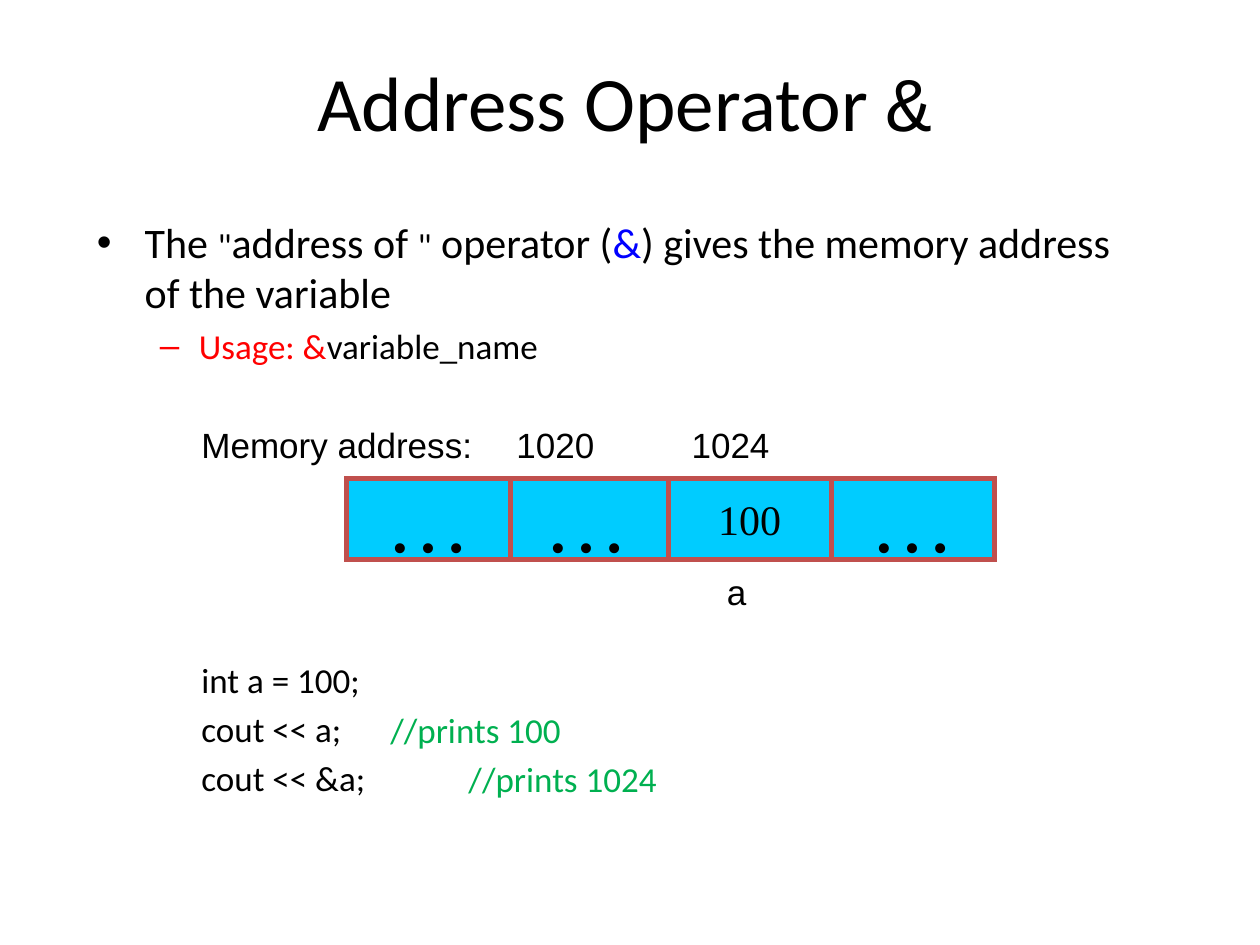
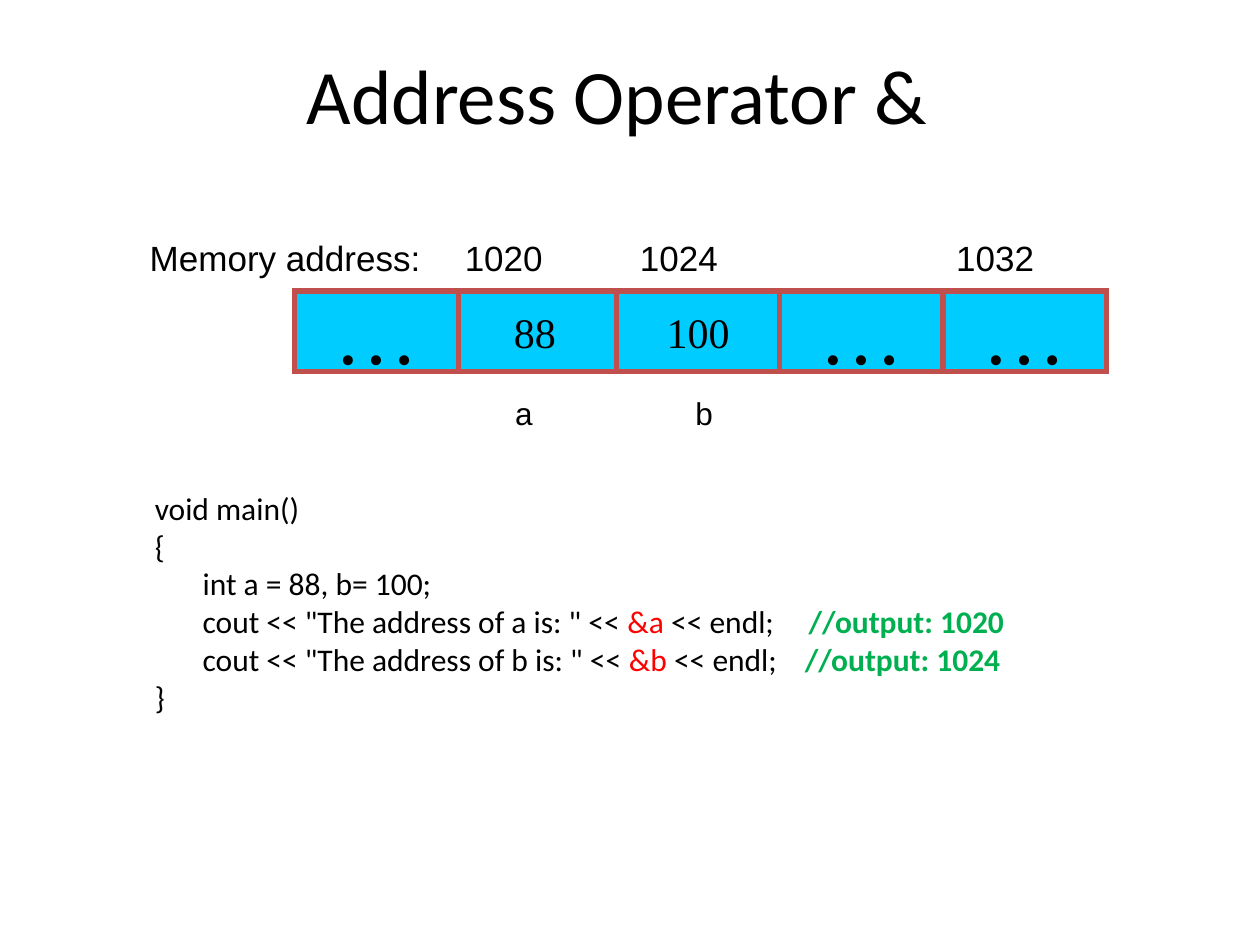
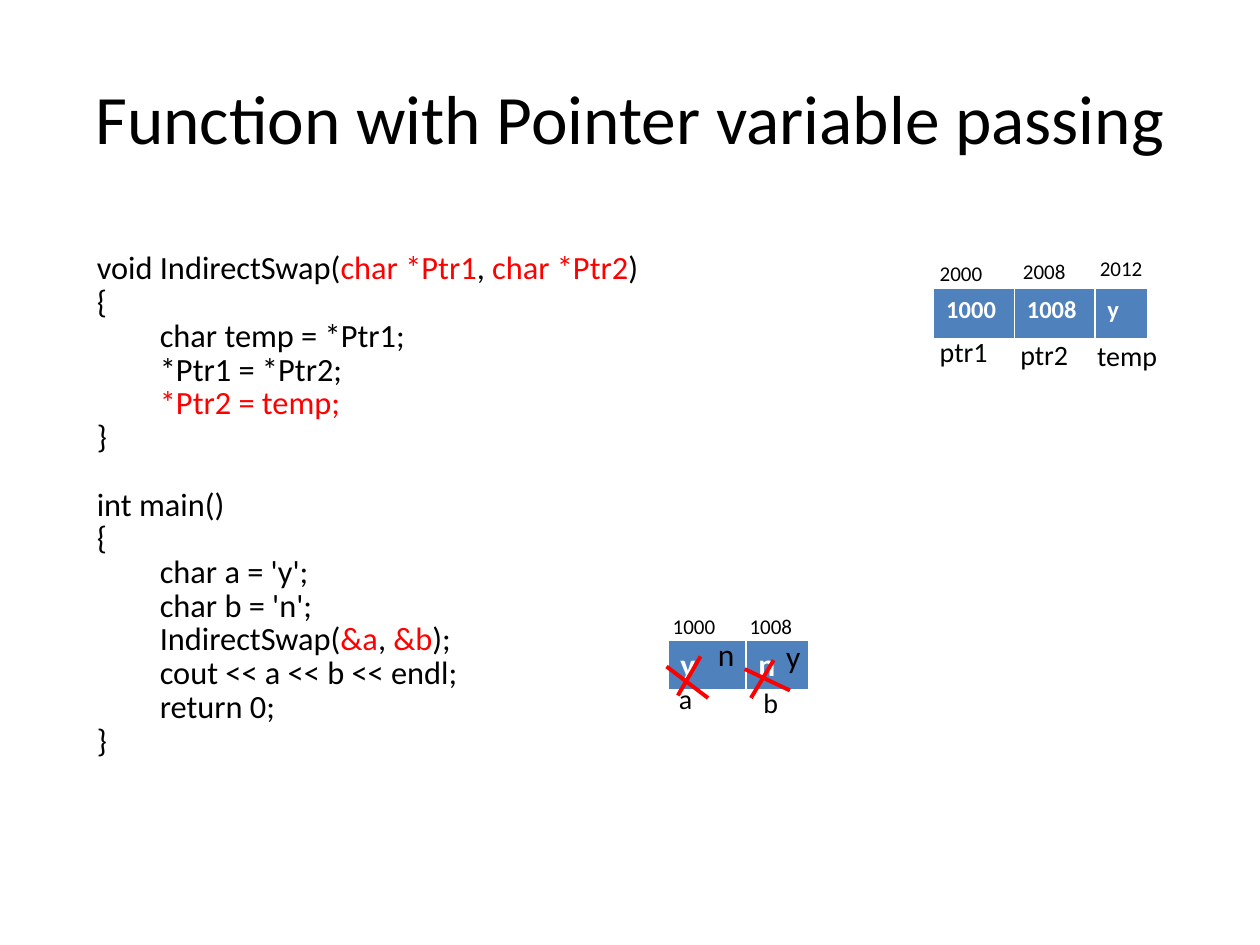
from lxml.etree import SubElement
from pptx import Presentation
from pptx.dml.color import RGBColor
from pptx.enum.shapes import MSO_CONNECTOR, MSO_SHAPE
from pptx.enum.text import MSO_ANCHOR, PP_ALIGN
from pptx.oxml.ns import qn
from pptx.util import Inches, Pt

BLACK = RGBColor(0x00, 0x00, 0x00)
WHITE = RGBColor(0xFF, 0xFF, 0xFF)
RED = RGBColor(0xFF, 0x00, 0x00)
BLUE = RGBColor(0x00, 0x00, 0xFF)
GREEN = RGBColor(0x00, 0xB0, 0x50)
CELL_FILL = RGBColor(0x00, 0xCC, 0xFF)
CELL_LINE = RGBColor(0xC0, 0x50, 0x4D)
TABLE_FILL = RGBColor(0x4F, 0x81, 0xBD)

deck = Presentation()
deck.slide_width = Inches(10)
deck.slide_height = Inches(7.5)
COLUMN = deck.slide_width / 10
ROW = deck.slide_height / 7.5


def place(page, left, top, width, height, wrap=True):
    box = page.shapes.add_textbox(
        int(left * COLUMN), int(top * ROW), int(width * COLUMN), int(height * ROW)
    )
    box.text_frame.word_wrap = wrap
    return box.text_frame


def write(frame, *spans, size=18, font="Calibri", color=BLACK, bold=False,
          align=PP_ALIGN.LEFT, before=0, spacing=None, margin=0, hang=0,
          bullet=None):
    para = frame.add_paragraph() if frame.text else frame.paragraphs[0]
    para.alignment = align
    para.space_before = Pt(before)
    if spacing:
        para.line_spacing = spacing
    settings = para._p.get_or_add_pPr()
    settings.set("marL", str(int(margin * COLUMN)))
    settings.set("indent", str(int(-hang * COLUMN)))
    if bullet:
        SubElement(settings, qn("a:buFont"), typeface="Arial")
        SubElement(settings, qn("a:buChar"), char=bullet)
    for item in spans:
        text, look = (item, {}) if isinstance(item, str) else item
        span = para.add_run()
        span.text = text
        span.font.name = look.get("font", font)
        span.font.size = Pt(look.get("size", size))
        span.font.bold = bold
        span.font.color.rgb = look.get("color", color)


titles = [
    (["Address Operator ", ("&", {"font": "Courier New"})], 0.46, 0.17, 44),
    (["Address Operator &"], 0.4, 0.12, 44),
    (["Function with Pointer variable passing"], 0.5, 0.3, 39.6),
]
pages = []
for spans, left, top, size in titles:
    page = deck.slides.add_slide(deck.slide_layouts[6])
    frame = place(page, left, top, 9, 1.25)
    frame.vertical_anchor = MSO_ANCHOR.MIDDLE
    write(frame, *spans, size=size, align=PP_ALIGN.CENTER)
    pages.append(page)
operator_page, program_page, swap_page = pages

body = place(operator_page, 0.67, 1.67, 8.58, 4.5)
write(body, "The ", ('"', {"size": 20}), "address of ", ('"', {"size": 20}),
      " operator (", ("&", {"color": BLUE}),
      ") gives the memory address of the variable",
      size=24, before=4.8, margin=0.38, hang=0.38, bullet="•")
write(body, ("Usage: &", {"color": RED}), "variable_name",
      size=20, before=4, margin=0.81, hang=0.31, bullet="–")

CELL_WIDTH, CELL_HEIGHT, CELL_STEP = 1.3, 0.64, 1.295
memory_strips = [
    (operator_page, 2.75, 3.8, ["…", "…", "100", "…"]),
    (program_page, 2.34, 2.31, ["…", "88", "100", "…", "…"]),
]
for page, left, top, values in memory_strips:
    for index, value in reversed(list(enumerate(values))):
        cell_left = left + CELL_STEP * index - (0.04 if index else 0)
        cell = page.shapes.add_shape(
            MSO_SHAPE.RECTANGLE, int(cell_left * COLUMN), int(top * ROW),
            int(CELL_WIDTH * COLUMN), int(CELL_HEIGHT * ROW)
        )
        cell.shadow.inherit = False
        cell.fill.solid()
        cell.fill.fore_color.rgb = CELL_FILL
        cell.line.color.rgb = CELL_LINE
        cell.line.width = Pt(3)
        SubElement(cell._element.spPr.find(qn("a:ln")), qn("a:miter"), lim="800000")
        cell.text_frame.word_wrap = False
        cell.text_frame.vertical_anchor = MSO_ANCHOR.MIDDLE
        write(cell.text_frame, value, size=48 if value == "…" else 24,
              font="Times New Roman", align=PP_ALIGN.CENTER)

memory_labels = [
    (operator_page, "Memory address:", 1.5, 3.31, 2.36, 20),
    (operator_page, "1020", 4, 3.31, 0.82, 20),
    (operator_page, "1024", 5.39, 3.31, 0.82, 20),
    (operator_page, "a", 5.67, 4.48, 0.36, 20),
    (program_page, "Memory address:", 1.09, 1.83, 2.36, 20),
    (program_page, "1020", 3.59, 1.83, 0.82, 20),
    (program_page, "1024", 4.98, 1.83, 0.82, 20),
    (program_page, "1032", 7.49, 1.83, 0.82, 20),
    (program_page, "a", 3.99, 3.08, 0.35, 18),
    (program_page, "b", 5.42, 3.08, 0.35, 18),
]
for page, text, left, top, width, size in memory_labels:
    write(place(page, left, top, width, 0.43, wrap=False), text,
          size=size, font="Arial", before=size * 0.2)

USAGE_TOP, USAGE_STEP = 5.18, 0.39
usage = place(operator_page, 1.5, USAGE_TOP, 4.67, 1.25)
for line in ["int a = 100;", "cout << a;", "cout << &a;"]:
    write(usage, line, size=20, before=4)
for row, left, text in [(1, 3, "//prints 100"), (2, 3.62, "//prints 1024")]:
    comment = place(operator_page, left, USAGE_TOP + USAGE_STEP * row, 2, 0.43)
    write(comment, text, size=20, before=4, color=GREEN)

PROGRAM_TOP, PROGRAM_STEP = 3.83, 0.3
program = place(program_page, 1.13, PROGRAM_TOP, 7.22, 1.92)
write(program, "void main()")
write(program, "{")
write(program, "int a = 88, b= 100;", margin=0.38)
for name in "ab":
    write(program, f'cout << "The address of {name} is: " << ',
          (f"&{name}", {"color": RED}), " << endl;", margin=0.38)
write(program, "}")
for row, left, address in [(3, 6.32, "1020"), (4, 6.29, "1024")]:
    comment = place(program_page, left, PROGRAM_TOP + PROGRAM_STEP * row, 2, 0.4)
    write(comment, f"//output: {address}", color=GREEN, bold=True)

swap_lines = [
    (0, ["void IndirectSwap(", ("char *Ptr1", {"color": RED}), ", ",
         ("char *Ptr2", {"color": RED}), ")"]),
    (0, ["{"]),
    (1, ["char temp = *Ptr1;"]),
    (1, ["*Ptr1 = *Ptr2;"]),
    (1, [("*Ptr2 = temp;", {"color": RED})]),
    (0, ["}"]),
    (0, ["int main()"]),
    (0, ["{"]),
    (1, ["char a = 'y';"]),
    (1, ["char b = 'n';"]),
    (1, ["IndirectSwap(", ("&a", {"color": RED}), ", ",
         ("&b", {"color": RED}), ");"]),
    (1, ["cout << a << b << endl;"]),
    (1, ["return 0;"]),
    (0, ["}"]),
]
code = place(swap_page, 0.67, 2, 9.08, 4.5)
for level, spans in swap_lines:
    write(code, *spans, size=18.5, spacing=0.7, margin=level * 0.5,
          before=23 if spans == ["int main()"] else 3.7)

variable_tables = [
    (5.3, 5.08, [0.62, 0.5], ["y", "n"], 18),
    (7.41, 2.29, [0.64, 0.64, 0.42], ["1000", "1008", "y"], 14),
]
for left, top, widths, values, size in variable_tables:
    table = swap_page.shapes.add_table(
        1, len(values), int(left * COLUMN), int(top * ROW),
        int(sum(widths) * COLUMN), int(0.41 * ROW)
    ).table
    for index, (width, value) in enumerate(zip(widths, values)):
        table.columns[index].width = int(width * COLUMN)
        cell = table.cell(0, index)
        write(cell.text_frame, value, size=size, color=WHITE, bold=True)
        borders = cell._tc.get_or_add_tcPr()
        for side, points in [("L", 1), ("R", 1), ("T", 1), ("B", 3)]:
            border = SubElement(borders, qn(f"a:ln{side}"), w=str(Pt(points)))
            SubElement(SubElement(border, qn("a:solidFill")),
                       qn("a:srgbClr"), val=str(WHITE))
        cell.fill.solid()
        cell.fill.fore_color.rgb = TABLE_FILL

crosses = [
    (5.56, 5.21, 5.38, 5.52),
    (5.29, 5.29, 5.62, 5.54),
    (6.14, 5.24, 5.96, 5.54),
    (5.91, 5.31, 6.27, 5.48),
]
for start_x, start_y, end_x, end_y in crosses:
    stroke = swap_page.shapes.add_connector(
        MSO_CONNECTOR.STRAIGHT, int(start_x * COLUMN), int(start_y * ROW),
        int(end_x * COLUMN), int(end_y * ROW)
    )
    stroke.line.color.rgb = RED
    stroke.line.width = Pt(2.25)
    SubElement(stroke._element.spPr, qn("a:effectLst"))

variable_labels = [
    ("a", 5.29, 5.36, 0.31, 16),
    ("b", 5.96, 5.39, 0.32, 16),
    ("1000", 5.24, 4.82, 0.55, 12),
    ("1008", 5.85, 4.82, 0.55, 12),
    ("ptr1", 7.36, 2.61, 0.59, 16),
    ("ptr2", 8, 2.63, 0.59, 16),
    ("temp", 8.61, 2.64, 0.68, 16),
    ("2000", 7.36, 2.02, 0.55, 12),
    ("2008", 8.02, 2, 0.55, 12),
    ("2012", 8.63, 1.98, 0.55, 12),
    ("n", 5.6, 4.99, 0.33, 18),
    ("y", 6.14, 5.01, 0.33, 18),
]
for text, left, top, width, size in variable_labels:
    write(place(swap_page, left, top, width, 0.37, wrap=False), text, size=size)

deck.save("out.pptx")
